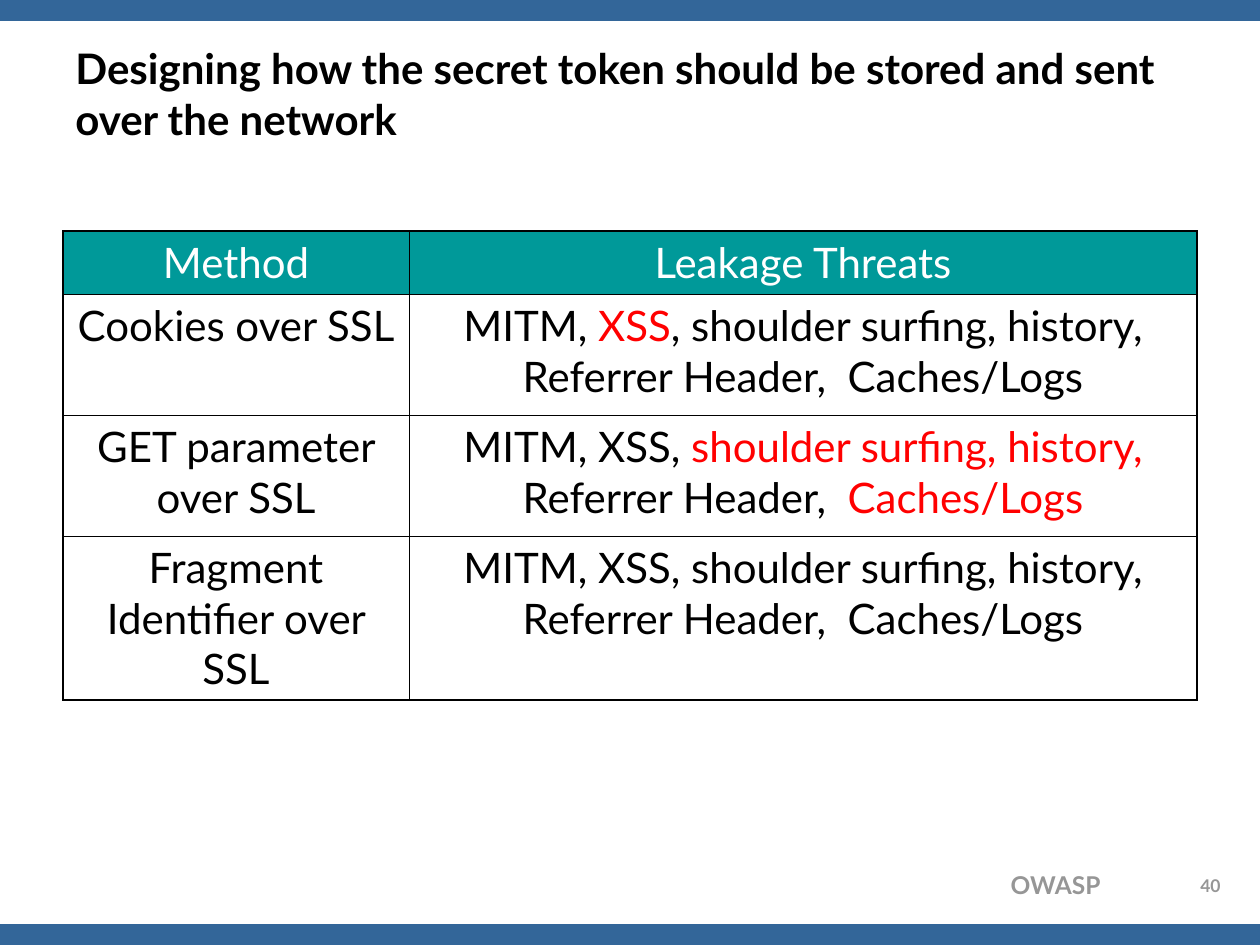
from dataclasses import dataclass
from lxml import etree
from pptx import Presentation
from pptx.dml.color import RGBColor
from pptx.enum.shapes import MSO_SHAPE
from pptx.enum.text import MSO_ANCHOR, PP_ALIGN
from pptx.oxml.ns import qn
from pptx.util import Emu, Pt

RECT = MSO_SHAPE.RECTANGLE
TOP, MIDDLE = MSO_ANCHOR.TOP, MSO_ANCHOR.MIDDLE
LEFT, CENTER, RIGHT = PP_ALIGN.LEFT, PP_ALIGN.CENTER, PP_ALIGN.RIGHT


@dataclass(frozen=True)
class Theme:
    font: str = "Lato"
    bar: str = "336699"
    header: str = "009999"
    white: str = "FFFFFF"
    ink: str = "000000"
    alert: str = "FF0000"
    muted: str = "969696"
    body: int = 24
    footer: int = 14
    number: int = 10
    outer: float = 1.08
    inner: float = 0.45


T = Theme()

# Content: a cell is a list of (text, is highlighted) runs
TITLE = "Designing how the secret token should be stored and sent over the network"
FOOTER, NUMBER = "OWASP", "40"
ROWS = [
    [[("Method", False)], [("Leakage Threats", False)]],
    [[("Cookies over SSL", False)],
     [("MITM, ", False), ("XSS", True),
      (", shoulder surfing, history, Referrer Header,  Caches/Logs", False)]],
    [[("GET parameter over SSL", False)],
     [("MITM, XSS, ", False), ("shoulder surfing, history, ", True),
      ("Referrer Header,  ", False), ("Caches/Logs", True)]],
    [[("Fragment Identifier over SSL", False)],
     [("MITM, XSS, shoulder surfing, history, Referrer Header,  Caches/Logs", False)]],
]

# Layout in px, 126 to the inch
SLIDE_W, SLIDE_H, BAR_H = 1260, 945, 21
TABLE_X, TABLE_Y = 63, 231
COL_W = [346, 788]
ROW_H = [63, 121, 121, 164]


def px(n):
    return Emu(round(n * 914400 / 126))


def rgb(color):
    return RGBColor.from_string(color)


def set_font(font, size, color, bold=False):
    font.name, font.size, font.bold = T.font, Pt(size), bold
    font.color.rgb = rgb(color)


def add_bar(slide, y):
    s = slide.shapes.add_shape(RECT, 0, px(y), px(SLIDE_W), px(BAR_H))
    s.shadow.inherit = False
    s.fill.solid()
    s.fill.fore_color.rgb = rgb(T.bar)
    s.line.fill.background()


def add_text(slide, box, text, size, color, align, anchor=TOP):
    tf = slide.shapes.add_textbox(*map(px, box)).text_frame
    tf.word_wrap = True
    tf.vertical_anchor = anchor
    p = tf.paragraphs[0]
    p.text, p.alignment = text, align
    set_font(p.font, size, color, bold=True)


def set_borders(cell, edges):
    """Draw the four sides; edges maps each side to whether it is on the table's outline."""
    tc_pr = cell._tc.get_or_add_tcPr()
    for side in "LRTB":
        width = Pt(T.outer if edges[side] else T.inner)
        ln = etree.SubElement(tc_pr, qn(f"a:ln{side}"), w=str(int(width)))
        fill = etree.SubElement(ln, qn("a:solidFill"))
        etree.SubElement(fill, qn("a:srgbClr"), val=T.ink)


def fill_cell(cell, runs, is_header):
    if is_header:
        cell.fill.solid()
        cell.fill.fore_color.rgb = rgb(T.header)
    else:
        cell.fill.background()
    p = cell.text_frame.paragraphs[0]
    p.alignment = CENTER
    color = T.white if is_header else T.ink
    for text, highlighted in runs:
        r = p.add_run()
        r.text = text
        set_font(r.font, T.body, T.alert if highlighted else color)


def add_threat_table(slide):
    table = slide.shapes.add_table(
        len(ROW_H), len(COL_W), px(TABLE_X), px(TABLE_Y),
        px(sum(COL_W)), px(sum(ROW_H))).table
    table.first_row = table.horz_banding = False
    for column, w in zip(table.columns, COL_W):
        column.width = px(w)
    for row, h in zip(table.rows, ROW_H):
        row.height = px(h)
    for i, row in enumerate(ROWS):
        for j, runs in enumerate(row):
            cell = table.cell(i, j)
            set_borders(cell, {"L": j == 0, "R": j == len(COL_W) - 1,
                               "T": i == 0, "B": i == len(ROW_H) - 1})
            fill_cell(cell, runs, is_header=i == 0)


def main():
    prs = Presentation()
    prs.slide_width, prs.slide_height = px(SLIDE_W), px(SLIDE_H)
    slide = prs.slides.add_slide(prs.slide_layouts[6])

    # Frame bars and footer
    for y in (0, SLIDE_H - BAR_H):
        add_bar(slide, y)
    add_text(slide, (784, 864, 329, 43), FOOTER, T.footer, T.muted, RIGHT)

    # Title, table and slide number
    add_text(slide, (63, 38, 1134, 110), TITLE, T.body, T.ink, LEFT, MIDDLE)
    add_threat_table(slide)
    add_text(slide, (1183, 869, 55, 32), NUMBER, T.number, T.muted, CENTER)

    prs.save("out.pptx")


if __name__ == "__main__":
    main()
